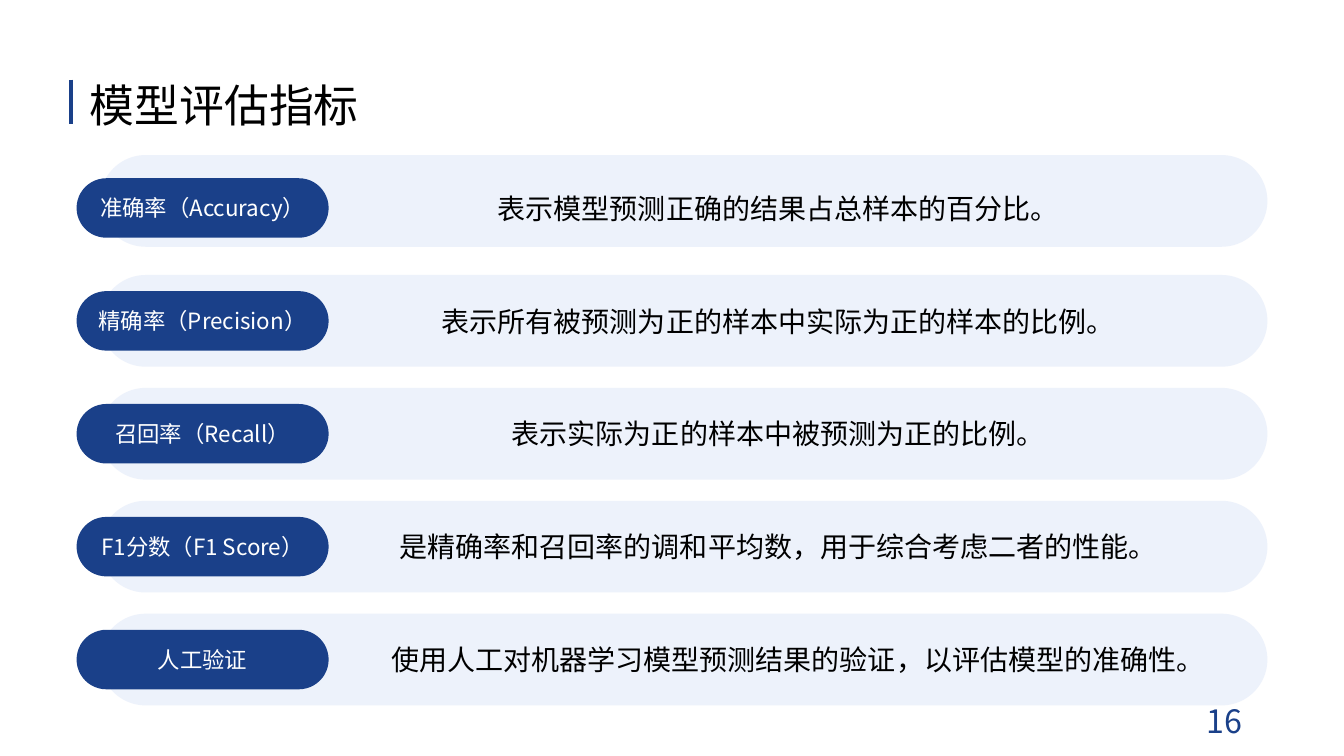
from dataclasses import dataclass

from lxml.etree import SubElement
from pptx import Presentation
from pptx.dml.color import RGBColor
from pptx.enum.lang import MSO_LANGUAGE_ID as Lang
from pptx.enum.shapes import MSO_CONNECTOR as Connector, MSO_SHAPE as Shape
from pptx.enum.text import MSO_ANCHOR as Anchor, MSO_AUTO_SIZE as AutoSize, PP_ALIGN as Align
from pptx.oxml.ns import qn
from pptx.util import Inches, Pt


@dataclass(frozen=True)
class Theme:
    navy: str = "1A4089"
    pale: str = "C5D5F4"
    white: str = "FFFFFF"
    black: str = "000000"
    pale_opacity: int = 30
    title_size: int = 32
    text_size: int = 20
    label_size: int = 16
    number_size: int = 23
    rule_width: float = 2.75
    cjk_font: str = "Noto Sans CJK JP"
    text_font: str = "Arial"


TITLE = "模型评估指标"
PAGE_NUMBER = "16"
METRICS = [
    ("准确率（Accuracy）", "表示模型预测正确的结果占总样本的百分比。"),
    ("精确率（Precision）", "表示所有被预测为正的样本中实际为正的样本的比例。"),
    ("召回率（Recall）", "表示实际为正的样本中被预测为正的比例。"),
    ("F1分数（F1 Score）", "是精确率和召回率的调和平均数，用于综合考虑二者的性能。"),
    ("人工验证", "使用人工对机器学习模型预测结果的验证，以评估模型的准确性。"),
]

# Grid of square cells, ten to the inch; every length below is in cells.
CELL = Inches(0.1)
FIRST_ROW, ROW_PITCH = 16.08, 11.2
BAND_COL, BAND_COLS, BAND_ROWS = 9.9, 115.8, 9.1
LABEL_COL, LABEL_COLS, LABEL_ROWS = 7.6, 25, 5.9
TEXT_COL, TEXT_COLS = 34.5, 85.4
WIDE_TEXT_COL, WIDE_TEXT_COLS = 32.6, 93.1
FIRST_BAND_LIFT = 0.7


def cells(*counts):
    return [round(count * CELL) for count in counts]


class MetricsSlide:
    def __init__(self, deck, theme):
        self.theme = theme
        self.slide = deck.slides.add_slide(deck.slide_layouts[5])
        self.shapes = self.slide.shapes

    def add_text(self, shape, text, size, color, font, align, anchor=Anchor.MIDDLE, margin=None):
        frame = shape.text_frame
        frame.word_wrap = True
        frame.vertical_anchor = anchor
        if margin is not None:
            frame.margin_left = frame.margin_right = margin
            frame.margin_top = frame.margin_bottom = margin
        paragraph = frame.paragraphs[0]
        paragraph.alignment = align
        run = paragraph.add_run()
        run.text = text
        run.font.size = Pt(size)
        run.font.name = font
        run.font.language_id = Lang.SIMPLIFIED_CHINESE
        run.font.color.rgb = RGBColor.from_string(color)
        SubElement(run.font._element, qn("a:ea"), typeface=self.theme.cjk_font)

    def title(self, text, *box):
        heading = self.shapes.title
        heading.left, heading.top, heading.width, heading.height = cells(*box)
        self.add_text(heading, text, self.theme.title_size, self.theme.black,
                      self.theme.cjk_font, Align.LEFT, Anchor.TOP)
        heading.text_frame.auto_size = AutoSize.SHAPE_TO_FIT_TEXT

    def rule(self, *ends):
        line = self.shapes.add_connector(Connector.STRAIGHT, *cells(*ends))
        line.line.color.rgb = RGBColor.from_string(self.theme.navy)
        line.line.width = Pt(self.theme.rule_width)
        SubElement(line._element.spPr, qn("a:effectLst"))

    def pill(self, color, *box, opacity=100):
        pill = self.shapes.add_shape(Shape.ROUNDED_RECTANGLE, *cells(*box))
        pill.adjustments[0] = 0.5
        pill.shadow.inherit = False
        pill.line.fill.background()
        pill.fill.solid()
        pill.fill.fore_color.rgb = RGBColor.from_string(color)
        if opacity < 100:
            tint = pill._element.spPr.find(qn("a:solidFill"))[0]
            SubElement(tint, qn("a:alpha"), val=str(opacity * 1000))
        return pill

    def label(self, text, *box):
        self.add_text(self.pill(self.theme.navy, *box), text, self.theme.label_size,
                      self.theme.white, self.theme.cjk_font, Align.CENTER, margin=0)

    def description(self, text, *box):
        self.add_text(self.shapes.add_textbox(*cells(*box)), text, self.theme.text_size,
                      self.theme.black, self.theme.text_font, Align.CENTER, margin=0)

    def page_number(self, text, *box):
        self.add_text(self.shapes.add_textbox(*cells(*box)), text, self.theme.number_size,
                      self.theme.navy, self.theme.cjk_font, Align.RIGHT)

    def metric(self, index, name, meaning):
        """Draw one row: pale band, navy label and its description."""
        row = FIRST_ROW + index * ROW_PITCH
        band_row = row if index else row - FIRST_BAND_LIFT
        last = index == len(METRICS) - 1
        col, cols = (WIDE_TEXT_COL, WIDE_TEXT_COLS) if last else (TEXT_COL, TEXT_COLS)
        self.pill(self.theme.pale, BAND_COL, band_row, BAND_COLS, BAND_ROWS,
                  opacity=self.theme.pale_opacity)
        self.label(name, LABEL_COL, row + (BAND_ROWS - LABEL_ROWS) / 2, LABEL_COLS, LABEL_ROWS)
        self.description(meaning, col, row, cols, BAND_ROWS)


def main():
    deck = Presentation()
    deck.slide_width, deck.slide_height = Inches(13.33), Inches(7.5)
    page = MetricsSlide(deck, Theme())
    page.title(TITLE, 7.9, 7.2, 30.3, 6.4)
    page.rule(7, 7.9, 7, 12.3)
    for index, (name, meaning) in enumerate(METRICS):
        page.metric(index, name, meaning)
    page.page_number(PAGE_NUMBER, 94.2, 69.5, 30, 4)
    deck.save("out.pptx")


if __name__ == "__main__":
    main()
